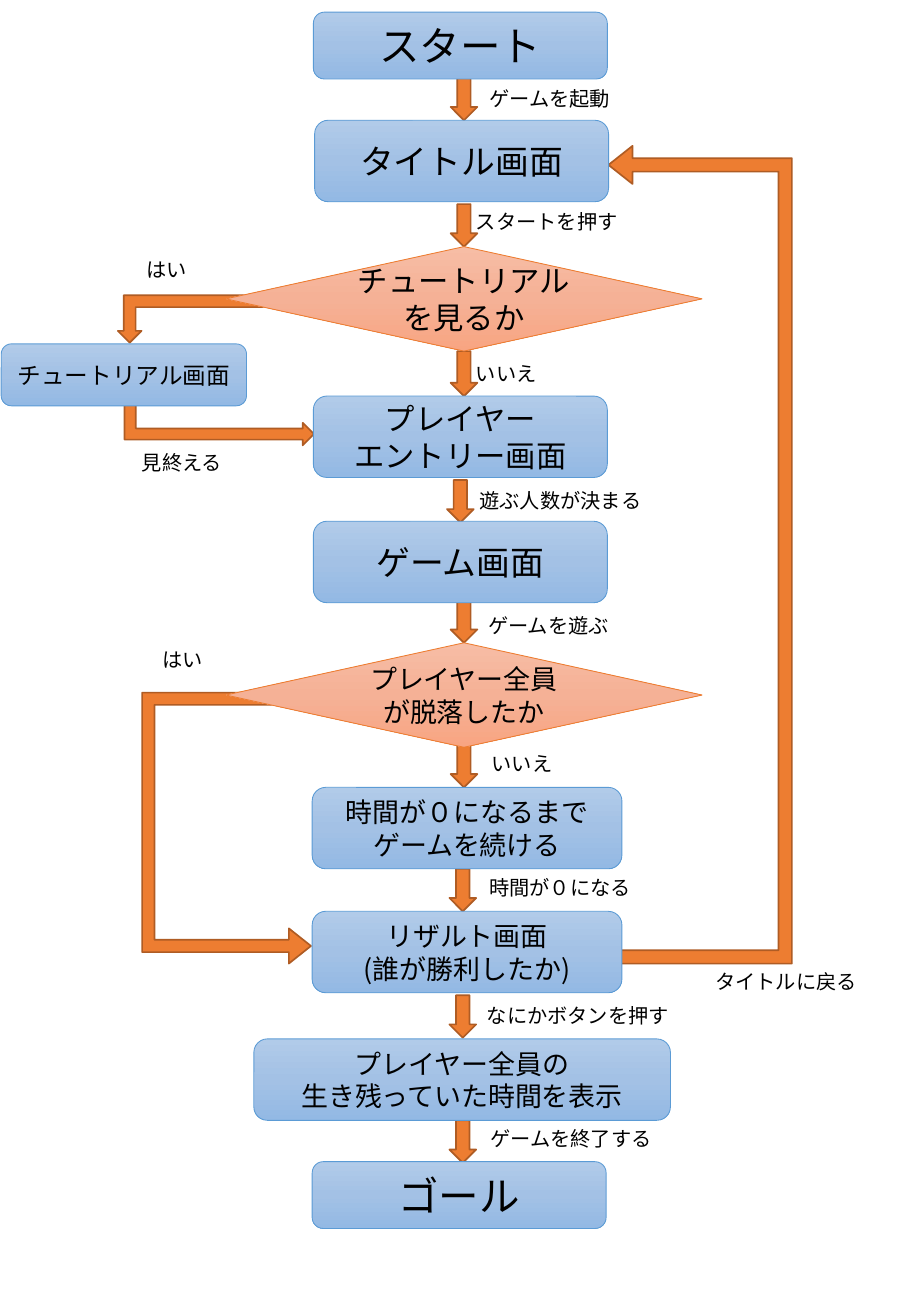
"""Build a portrait flowchart of the game's screens and decisions."""
from copy import deepcopy
from dataclasses import dataclass

from pptx import Presentation
from pptx import util as u
from pptx.dml.color import RGBColor
from pptx.enum import shapes, text
from pptx.oxml.ns import qn


@dataclass(frozen=True)
class Theme:
    font: str = "Noto Sans CJK JP"
    ink: str = "000000"
    arrow_fill: str = "ED7D31"
    arrow_line: str = "AF5C24"
    screen_fill: tuple = ("B1CBE9", "A3C1E5", "93B9E4")
    screen_line: str = "5B9BD5"
    decision_fill: tuple = ("F7BDA5", "F5B196", "F8A582")
    decision_line: str = "ED7D31"
    terminal: int = 24
    screen: int = 20
    step: int = 18
    detail: int = 16
    side: int = 14
    label: int = 12


theme = Theme()
kinds = shapes.MSO_SHAPE


def write_text(shape, wording, size, align=text.PP_ALIGN.LEFT, anchor=text.MSO_ANCHOR.TOP):
    frame = shape.text_frame
    frame.word_wrap = True
    frame.vertical_anchor = anchor
    frame.text = wording
    for paragraph in frame.paragraphs:
        paragraph.alignment = align
        font = paragraph.runs[0].font
        font.name = theme.font
        font.size = u.Pt(size)
        font.color.rgb = RGBColor.from_string(theme.ink)
        east_asian = font._element.makeelement(qn("a:ea"), {"typeface": theme.font})
        font._element.find(qn("a:latin")).addnext(east_asian)


def add_shape(kind, box, fill, line, weight):
    shape = slide.shapes.add_shape(kind, *map(u.Inches, box))
    shape.shadow.inherit = False
    shape.line.color.rgb = RGBColor.from_string(line)
    shape.line.width = u.Pt(weight)
    if isinstance(fill, str):
        shape.fill.solid()
        shape.fill.fore_color.rgb = RGBColor.from_string(fill)
        return shape
    shape.fill.gradient()
    shape.fill.gradient_angle = 270
    stops = shape._element.xpath(".//a:gsLst")[0]
    stops.insert(1, deepcopy(stops[0]))
    for stop, color, position in zip(shape.fill.gradient_stops, fill, (0, 0.5, 1)):
        stop.color.rgb = RGBColor.from_string(color)
        stop.position = position
    return shape


presentation = Presentation()
presentation.slide_width = u.Inches(7.5)
presentation.slide_height = u.Inches(10.83)
slide = presentation.slides.add_slide(presentation.slide_layouts[6])

uturn = (0.073, 0.104, 0.131, 0, 1)
routes = [
    (kinds.U_TURN_ARROW, (2.4, 3.81, 6.73, 1.51), 90, uturn),
    (kinds.U_TURN_ARROW, (0.75, 6.12, 2.23, 1.39), 270, uturn),
    (kinds.BENT_UP_ARROW, (1.62, 2.7, 0.37, 1.56), 90, ()),
    (kinds.BENT_UP_ARROW, (0.97, 2.43, 1.51, 0.39), 180, ()),
]
for kind, box, rotation, adjustments in routes:
    route = add_shape(kind, box, theme.arrow_fill, theme.arrow_line, 1)
    route.rotation = rotation
    for index, value in enumerate(adjustments):
        route.adjustments[index] = value
    if kind == kinds.U_TURN_ARROW:
        route._element.spPr.xfrm.set("flipH", "1")

down_arrows = [
    (3.71, 0.64, 0.35), (3.71, 1.68, 0.35), (3.71, 2.89, 0.37),
    (3.68, 3.95, 0.35), (3.71, 4.94, 0.35), (3.71, 6.13, 0.35),
    (3.7, 7.15, 0.35), (3.7, 8.19, 0.35), (3.7, 9.22, 0.35),
]
for left, top, height in down_arrows:
    add_shape(kinds.DOWN_ARROW, (left, top, 0.22, height), theme.arrow_fill, theme.arrow_line, 1)

screens = [
    ("スタート", (2.58, 0.1, 2.42, 0.55), theme.terminal),
    ("タイトル画面", (2.59, 0.99, 2.42, 0.67), theme.screen),
    ("チュートリアル画面", (0.01, 2.83, 2.02, 0.51), theme.side),
    ("プレイヤー\nエントリー画面", (2.58, 3.26, 2.42, 0.67), theme.step),
    ("ゲーム画面", (2.58, 4.29, 2.42, 0.67), theme.screen),
    ("時間が０になるまでゲームを続ける", (2.57, 6.48, 2.55, 0.67), theme.detail),
    ("リザルト画面\n(誰が勝利したか)", (2.57, 7.5, 2.55, 0.67), theme.detail),
    ("プレイヤー全員の\n生き残っていた時間を表示", (2.09, 8.55, 3.43, 0.67), theme.detail),
    ("ゴール", (2.57, 9.56, 2.42, 0.55), theme.terminal),
]
decisions = [
    ("チュートリアルを見るか", (1.86, 2.03, 3.92, 0.86), theme.step),
    ("プレイヤー全員が脱落したか", (1.86, 5.29, 3.92, 0.86), theme.detail),
]
node_groups = [
    (kinds.DIAMOND, decisions, theme.decision_fill, theme.decision_line),
    (kinds.ROUNDED_RECTANGLE, screens, theme.screen_fill, theme.screen_line),
]
for kind, nodes, fill, line in node_groups:
    for wording, box, size in nodes:
        node = add_shape(kind, box, fill, line, 0.5)
        write_text(node, wording, size, align=text.PP_ALIGN.CENTER, anchor=text.MSO_ANCHOR.MIDDLE)

labels = [
    ("ゲームを起動", 3.93, 0.66, 1.39),
    ("スタートを押す", 3.82, 1.67, 1.39),
    ("はい", 1.11, 2.07, 0.82),
    ("いいえ", 3.82, 2.92, 0.82),
    ("見終える", 1.07, 3.66, 0.96),
    ("遊ぶ人数が決まる", 3.85, 3.97, 1.54),
    ("ゲームを遊ぶ", 3.92, 5, 1.54),
    ("はい", 1.24, 5.28, 0.82),
    ("いいえ", 3.95, 6.13, 0.82),
    ("時間が０になる", 3.93, 7.15, 1.39),
    ("タイトルに戻る", 5.79, 7.93, 1.73),
    ("なにかボタンを押す", 3.91, 8.21, 1.73),
    ("ゲームを終了する", 3.94, 9.22, 1.73),
]
for wording, left, top, width in labels:
    label = slide.shapes.add_textbox(*map(u.Inches, (left, top, width, 0.3)))
    write_text(label, wording, theme.label)
    label.text_frame.auto_size = text.MSO_AUTO_SIZE.SHAPE_TO_FIT_TEXT

presentation.save("out.pptx")
